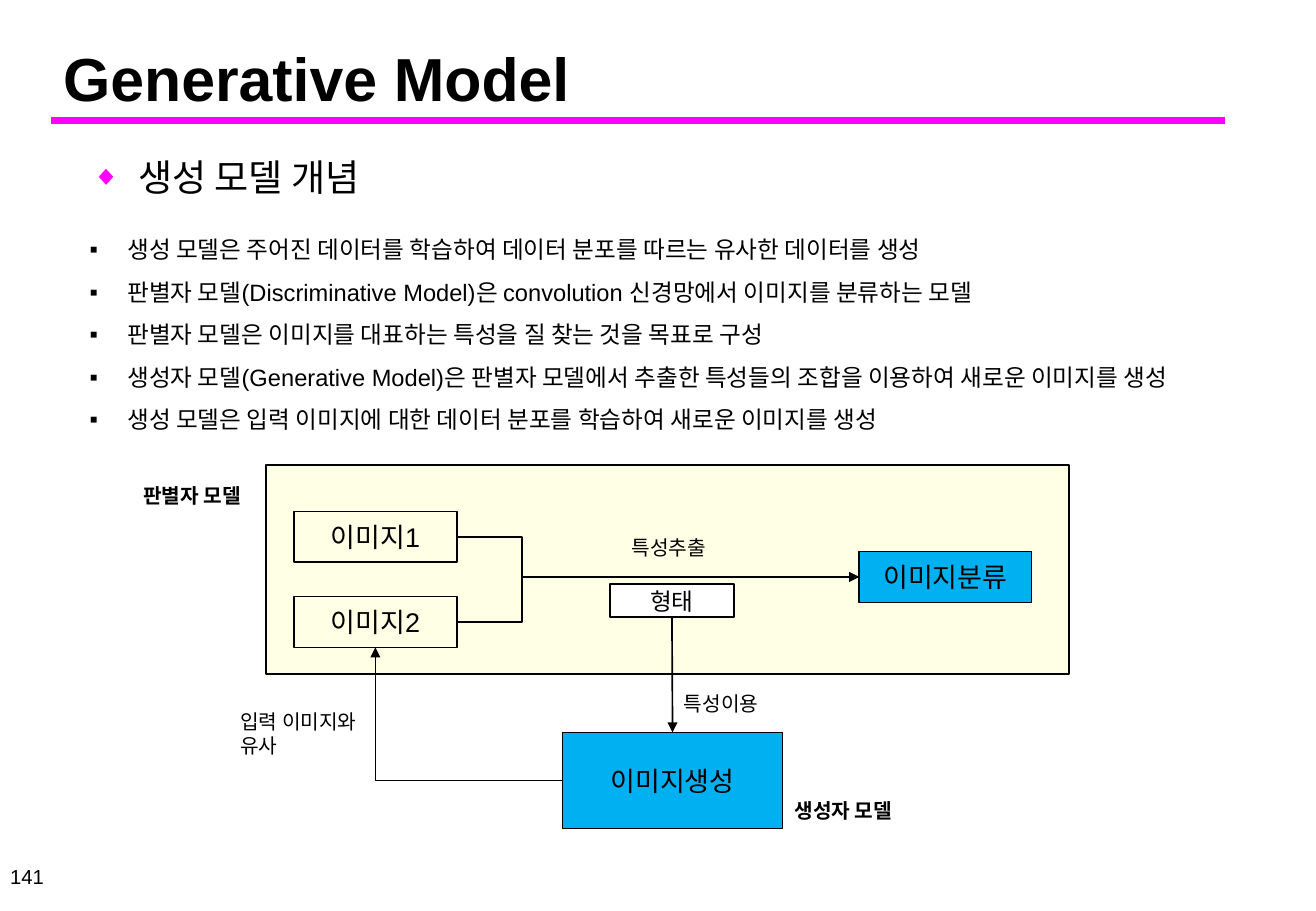
from lxml.etree import SubElement
from pptx import Presentation
from pptx.dml.color import RGBColor
from pptx.enum.shapes import MSO_CONNECTOR as LINK, MSO_SHAPE as SHAPE
from pptx.enum.text import MSO_ANCHOR as ANCHOR, MSO_AUTO_SIZE as FIT, PP_ALIGN as ALIGN
from pptx.oxml.ns import qn
from pptx.util import Emu, Pt

PX = 9144
BLACK, MAGENTA, BLUE = "000000", "FF00FF", "00B0F0"


def color(value):
    return RGBColor.from_string(value)


def write(frame, text, size=12, bold=False, align=ALIGN.LEFT, anchor=ANCHOR.TOP,
          wrap=True, spacing=None, bullet=None, indent=0, bullet_color=BLACK, bullet_size=100):
    frame.word_wrap = wrap
    frame.auto_size = FIT.NONE
    frame.vertical_anchor = anchor
    for index, line in enumerate(text.split("\n")):
        para = frame.add_paragraph() if index else frame.paragraphs[0]
        para.alignment = align
        if spacing:
            para.line_spacing = spacing
        if bullet:
            props = para._p.get_or_add_pPr()
            props.set("marL", str(indent * PX))
            props.set("indent", str(-indent * PX))
            SubElement(SubElement(props, qn("a:buClr")), qn("a:srgbClr"), val=bullet_color)
            SubElement(props, qn("a:buSzPct"), val=str(bullet_size * 1000))
            SubElement(props, qn("a:buFont"), typeface="Arial")
            SubElement(props, qn("a:buChar"), char=bullet)
        span = para.add_run()
        span.text = line
        span.font.name = "Arial"
        span.font.size = Pt(size)
        span.font.bold = bold
        span.font.color.rgb = color(BLACK)


deck = Presentation()
deck.slide_width, deck.slide_height = Emu(1083 * PX), Emu(750 * PX)
page = deck.slides.add_slide(deck.slide_layouts[5])
shapes = page.shapes

title = shapes.title
title.left, title.top, title.width, title.height = [Emu(n * PX) for n in (42, 28, 958, 71)]
write(title.text_frame, "Generative Model", size=36, bold=True, anchor=ANCHOR.BOTTOM)

boxes = {}
for name, place, fill, size in [
    ("", (219, 383, 661, 172), "FFFF00", 12),
    ("이미지1", (242, 421, 134, 42), None, 16),
    ("이미지2", (242, 491, 134, 42), None, 16),
    ("이미지분류", (707, 454, 142, 42), BLUE, 16),
    ("이미지생성", (463, 603, 181, 79), BLUE, 16),
    ("형태", (502, 481, 102, 27), "FFFFFF", 14),
]:
    box = shapes.add_shape(SHAPE.RECTANGLE, *[n * PX for n in place])
    box.shadow.inherit = False
    box.line.color.rgb = color(BLACK)
    box.line.width = Pt(1)
    if fill:
        box.fill.solid()
        box.fill.fore_color.rgb = color(fill)
    else:
        box.fill.background()
    if name:
        write(box.text_frame, name, size=size, align=ALIGN.CENTER,
              anchor=ANCHOR.MIDDLE, wrap=False)
    else:
        tint = box.element.spPr.find(qn("a:solidFill")).find(qn("a:srgbClr"))
        SubElement(tint, qn("a:alpha"), val="10000")
    boxes[name] = box

rule = shapes.add_connector(LINK.STRAIGHT, 42 * PX, 99 * PX, 1008 * PX, 99 * PX)
links = [(rule, MAGENTA, 4)]
for source, start, target, end, kind, preset in [
    ("이미지1", 3, "이미지분류", 1, LINK.ELBOW, "bentConnector3"),
    ("이미지2", 3, "이미지분류", 1, LINK.ELBOW, "bentConnector3"),
    ("형태", 2, "이미지생성", 0, LINK.STRAIGHT, "line"),
    ("이미지생성", 1, "이미지2", 2, LINK.ELBOW, "bentConnector2"),
]:
    arrow = shapes.add_connector(kind, 0, 0, 0, 0)
    arrow.begin_connect(boxes[source], start)
    arrow.end_connect(boxes[target], end)
    geometry = arrow.element.spPr.find(qn("a:prstGeom"))
    geometry.set("prst", preset)
    if preset == "bentConnector3":
        SubElement(geometry.find(qn("a:avLst")), qn("a:gd"), name="adj1", fmla="val 16200")
    links.append((arrow, BLACK, 1))

for link, tone, width in links:
    link.line.color.rgb = color(tone)
    link.line.width = Pt(width)
    if link is not rule:
        SubElement(link.line._get_or_add_ln(), qn("a:tailEnd"), type="triangle")
    SubElement(link.element.spPr, qn("a:effectLst"))

points = """생성 모델은 주어진 데이터를 학습하여 데이터 분포를 따르는 유사한 데이터를 생성
판별자 모델(Discriminative Model)은 convolution 신경망에서 이미지를 분류하는 모델
판별자 모델은 이미지를 대표하는 특성을 질 찾는 것을 목표로 구성
생성자 모델(Generative Model)은 판별자 모델에서 추출한 특성들의 조합을 이용하여 새로운 이미지를 생성
생성 모델은 입력 이미지에 대한 데이터 분포를 학습하여 새로운 이미지를 생성"""

for text, place, style in [
    ("생성 모델 개념", (66, 115, 940, 55),
     dict(size=22, spacing=1.2, bullet="◆", indent=38, bullet_color=MAGENTA, bullet_size=75)),
    (points, (64, 177, 983, 182), dict(size=14, spacing=1.5, bullet="▪", indent=31)),
    ("특성추출", (510, 436, 94, 30), {}),
    ("특성이용", (553, 564, 94, 30), {}),
    ("입력 이미지와 유사", (188, 579, 126, 50), {}),
    ("생성자 모델", (644, 652, 126, 30), dict(bold=True)),
    ("판별자 모델", (108, 393, 126, 30), dict(bold=True)),
    ("141", (-2, 714, 48, 15), dict(align=ALIGN.RIGHT, anchor=ANCHOR.MIDDLE, wrap=False)),
]:
    label = shapes.add_textbox(*[n * PX for n in place])
    write(label.text_frame, text, **style)

deck.save("out.pptx")
